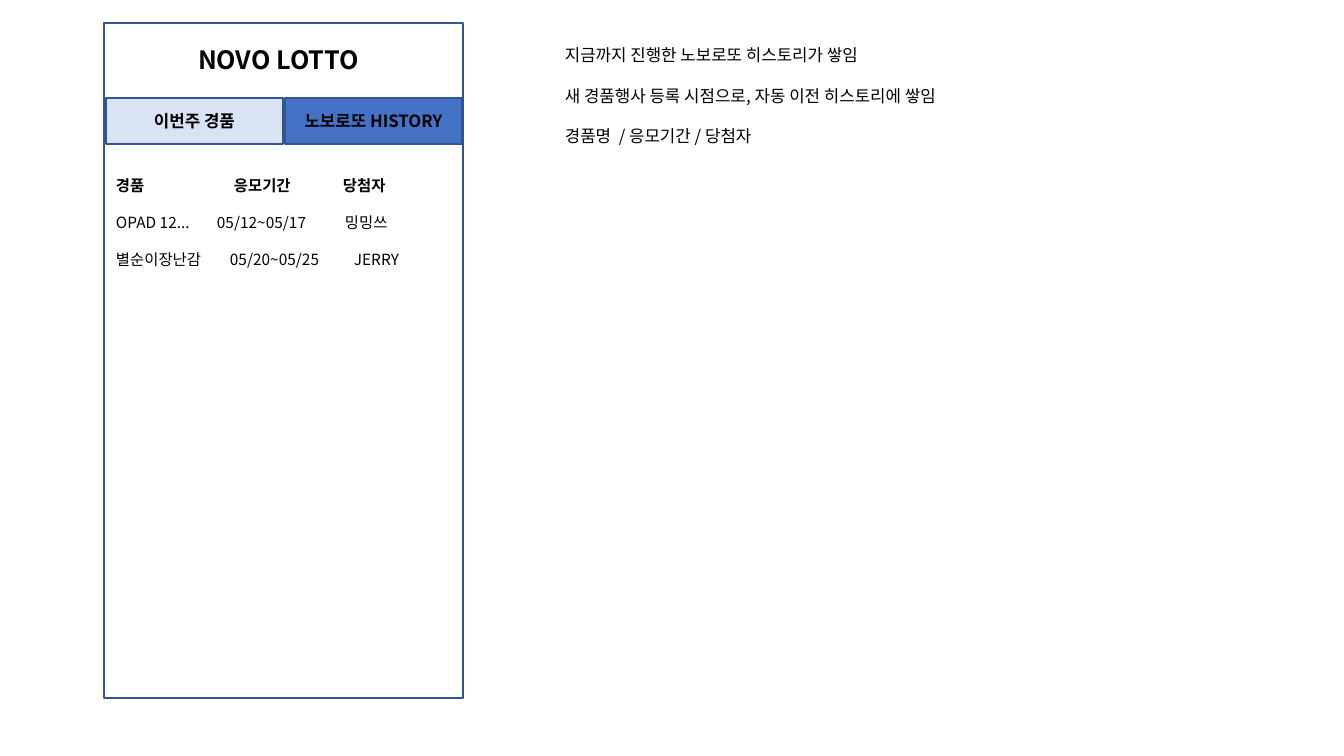
import pptx
import pptx.util
import pptx.dml.color
import pptx.enum.shapes
import pptx.enum.text
import pptx.oxml.ns
import lxml.etree

ALIGN = pptx.enum.text.PP_ALIGN
ANCHOR = pptx.enum.text.MSO_ANCHOR
RECT = pptx.enum.shapes.MSO_SHAPE.RECTANGLE
SCALE = 914400 / 100.8


def px(n):
    return pptx.util.Emu(round(n * SCALE))


def rgb(code):
    return pptx.dml.color.RGBColor.from_string(code)


class Theme:
    font = "Noto Sans CJK KR"
    ink, edge = "000000", "325491"
    idle, live = "DAE3F3", "4472C4"
    title, body, small = 18, 12, 11
    pitch = 1.2


class Deck:
    def __init__(self, wide, high, theme):
        self.theme = theme
        self.file = pptx.Presentation()
        self.file.slide_width, self.file.slide_height = px(wide), px(high)
        self.slide = self.file.slides.add_slide(self.file.slide_layouts[5])

    def put(self, item, form):
        for name, value in form.items():
            setattr(item, name, value)

    def place(self, shape, box):
        self.put(shape, dict(zip(("left", "top", "width", "height"), map(px, box))))

    def fill(self, frame, lines, size, bold=(), align=ALIGN.LEFT,
             anchor=ANCHOR.TOP, gap=0, tabs=()):
        """Fill a frame; bold holds line numbers, tabs the stops of each line."""
        self.put(frame, {"word_wrap": True, "vertical_anchor": anchor,
                         "auto_size": pptx.enum.text.MSO_AUTO_SIZE.NONE})
        for i, line in enumerate(lines):
            para = frame.paragraphs[0] if i == 0 else frame.add_paragraph()
            self.put(para, {
                "alignment": align,
                "line_spacing": pptx.util.Pt(size * self.theme.pitch),
                "space_before": pptx.util.Pt(gap if i else 0)})
            if tabs:
                self.stops(para, tabs[i])
            run = para.add_run()
            run.text = line
            self.put(run.font, {"name": self.theme.font, "bold": i in bold,
                                "size": pptx.util.Pt(size)})
            run.font.color.rgb = rgb(self.theme.ink)
            east = lxml.etree.SubElement(run._r.rPr, pptx.oxml.ns.qn("a:ea"))
            east.set("typeface", self.theme.font)

    def stops(self, para, marks):
        qn = pptx.oxml.ns.qn
        group = lxml.etree.SubElement(para._p.get_or_add_pPr(), qn("a:tabLst"))
        for mark in marks:
            stop = lxml.etree.SubElement(group, qn("a:tab"))
            stop.set("pos", str(int(px(mark))))
            stop.set("algn", "l")

    def title(self, box, line):
        shape = self.slide.shapes.title
        self.place(shape, box)
        self.fill(shape.text_frame, [line], self.theme.title, bold=(0,))

    def text(self, box, lines, size, **form):
        shape = self.slide.shapes.add_textbox(*map(px, box))
        self.fill(shape.text_frame, lines, size, **form)

    def rect(self, box, tint=None, line=None):
        shape = self.slide.shapes.add_shape(RECT, *map(px, box))
        shape.shadow.inherit = False
        if tint:
            shape.fill.solid()
            shape.fill.fore_color.rgb = rgb(tint)
        else:
            shape.fill.background()
        shape.line.color.rgb = rgb(self.theme.edge)
        shape.line.width = pptx.util.Pt(1)
        if line:
            self.fill(shape.text_frame, [line], self.theme.body, bold=(0,),
                      align=ALIGN.CENTER, anchor=ANCHOR.MIDDLE)


theme = Theme()
deck = Deck(1344, 756, theme)

# Phone screen and its heading
deck.rect((104, 23, 359, 675))
deck.title((188, 39, 244, 40), "NOVO LOTTO")

# Tabs
tabs = [("이번주 경품", theme.idle), ("노보로또 HISTORY", theme.live)]
for i, (label, tint) in enumerate(tabs):
    deck.rect((106 + 179 * i, 98, 177, 46), tint, label)

# History list, each row with its own column stops
rows = [("경품", "응모기간", "당첨자"),
        ("OPAD 12...", "05/12~05/17", "밍밍쓰"),
        ("별순이장난감", "05/20~05/25", "JERRY")]
marks = [(118, 227), (101, 229), (114, 238)]
deck.text((106, 171, 358, 104), ["\t".join(row) for row in rows], theme.small,
          bold=(0,), gap=theme.small * theme.pitch, tabs=marks)

# Notes beside the screen
notes = ["지금까지 진행한 노보로또 히스토리가 쌓임",
         "새 경품행사 등록 시점으로, 자동 이전 히스토리에 쌓임",
         "경품명  / 응모기간 / 당첨자"]
deck.text((555, 40, 504, 142), notes, theme.body, gap=theme.body * theme.pitch)

deck.file.save("out.pptx")
